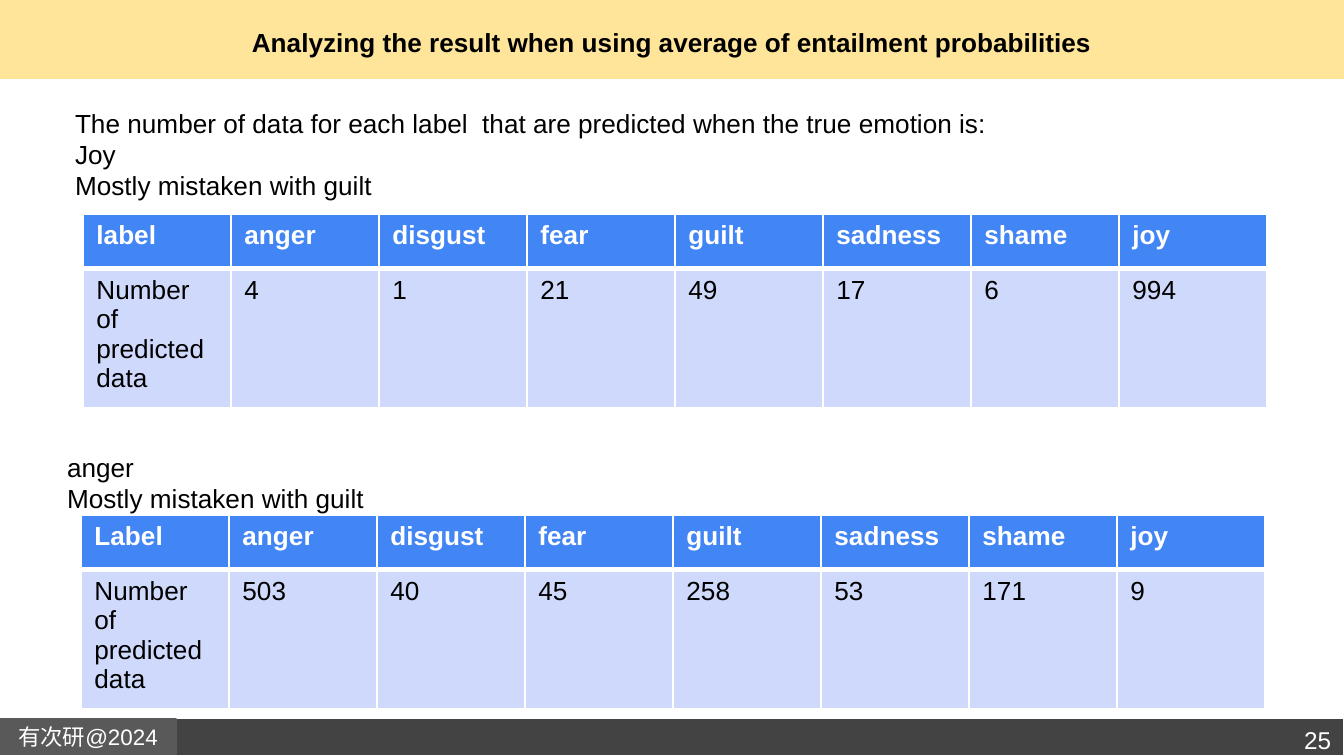
"""Build the slide on predicted labels for joy and anger with averaged entailment probabilities."""
from dataclasses import dataclass

import pptx
import pptx.dml.color
import pptx.enum.shapes
import pptx.enum.text
import pptx.oxml
import pptx.oxml.ns
import pptx.util

ALIGN = pptx.enum.text.PP_ALIGN
ANCHOR = pptx.enum.text.MSO_ANCHOR


@dataclass(frozen=True)
class Theme:
    font: str = "Arial"
    body: int = 14
    footer: int = 12
    number: int = 13
    black: str = "000000"
    white: str = "FFFFFF"
    banner: str = "FFE599"
    bar: str = "434343"
    tag: str = "595959"
    header: str = "4285F4"
    cell: str = "CFD9FB"


THEME = Theme()
SLIDE = (1344, 756)
TITLE = "Analyzing the result when using average of entailment probabilities"
FOOTER = "有次研@2024"
PAGE_NUMBER = "25"
EMOTIONS = ["anger", "disgust", "fear", "guilt", "sadness", "shame", "joy"]
ROW_NAME = "Number of predicted data"
COLUMN_WIDTH = 148
ROW_HEIGHTS = [55, 138]
SECTIONS = [
    {
        "lines": [
            "The number of data for each label  that are predicted when the true emotion is:",
            "Joy",
            "Mostly mistaken with guilt",
        ],
        "text_area": (62, 100, 1236, 203),
        "corner": "label",
        "counts": [4, 1, 21, 49, 17, 6, 994],
        "table_at": (83, 214),
    },
    {
        "lines": ["anger", "Mostly mistaken with guilt"],
        "text_area": (54, 444, 410, 77),
        "corner": "Label",
        "counts": [503, 40, 45, 258, 53, 171, 9],
        "table_at": (81, 515),
    },
]


def px(length):
    return pptx.util.Emu(round(length * 914400 / 134.4))


def color(value):
    return pptx.dml.color.RGBColor.from_string(value)


def write(frame, lines, size, ink, bold=False, align=ALIGN.LEFT):
    for index, line in enumerate(lines):
        para = frame.add_paragraph() if index else frame.paragraphs[0]
        para.alignment = align
        span = para.add_run()
        span.text = line
        span.font.name = THEME.font
        span.font.size = pptx.util.Pt(size)
        span.font.bold = bold
        span.font.color.rgb = color(ink)


def set_frame(frame, inset, anchor):
    frame.word_wrap = True
    frame.vertical_anchor = anchor
    frame.margin_left = frame.margin_right = px(13)
    frame.margin_top = frame.margin_bottom = px(inset)


def add_text(page, area, lines, size, ink, inset=13, anchor=ANCHOR.TOP, **style):
    box = page.shapes.add_textbox(*map(px, area))
    set_frame(box.text_frame, inset, anchor)
    write(box.text_frame, lines, size, ink, **style)


def add_band(page, area, fill, line=None):
    kind = pptx.enum.shapes.MSO_SHAPE.RECTANGLE
    band = page.shapes.add_shape(kind, *map(px, area))
    band.shadow.inherit = False
    band.fill.solid()
    band.fill.fore_color.rgb = color(fill)
    if line:
        band.line.color.rgb = color(line)
        band.line.width = pptx.util.Pt(0.75)
    else:
        band.line.fill.background()
    return band


def add_borders(cell, bottom):
    properties = cell._tc.get_or_add_tcPr()
    for side, width in (("L", 1), ("R", 1), ("T", 1), ("B", bottom)):
        properties.append(pptx.oxml.parse_xml(
            f'<a:ln{side} {pptx.oxml.ns.nsdecls("a")} w="{pptx.util.Pt(width)}">'
            f'<a:solidFill><a:srgbClr val="{THEME.white}"/></a:solidFill></a:ln{side}>'
        ))


def add_counts(page, section):
    rows = [[section["corner"], *EMOTIONS], [ROW_NAME, *map(str, section["counts"])]]
    styles = [(THEME.header, THEME.white, True, 3), (THEME.cell, THEME.black, False, 1)]
    columns = len(rows[0])
    area = (*section["table_at"], COLUMN_WIDTH * columns, sum(ROW_HEIGHTS))
    table = page.shapes.add_table(len(rows), columns, *map(px, area)).table
    for column in table.columns:
        column.width = px(COLUMN_WIDTH)
    for row, height, values, style in zip(table.rows, ROW_HEIGHTS, rows, styles):
        fill, ink, bold, bottom = style
        row.height = px(height)
        for cell, value in zip(row.cells, values):
            add_borders(cell, bottom)
            cell.fill.solid()
            cell.fill.fore_color.rgb = color(fill)
            write(cell.text_frame, [value], THEME.body, ink, bold)


def main():
    deck = pptx.Presentation()
    deck.slide_width, deck.slide_height = map(px, SLIDE)
    page = deck.slides.add_slide(deck.slide_layouts[6])
    add_band(page, (0, 0, 1344, 79), THEME.banner)
    add_band(page, (0, 718, 1344, 38), THEME.bar, THEME.white)
    tag = add_band(page, (0, 719, 176, 35), THEME.tag, THEME.tag)
    set_frame(tag.text_frame, 13, ANCHOR.MIDDLE)
    write(tag.text_frame, [FOOTER], THEME.footer, THEME.white, align=ALIGN.CENTER)
    add_text(page, (46, 0, 1252, 85), [TITLE], THEME.body, THEME.black,
             anchor=ANCHOR.MIDDLE, bold=True, align=ALIGN.CENTER)
    add_text(page, (1203, 712, 141, 50), [PAGE_NUMBER], THEME.number, THEME.white,
             align=ALIGN.RIGHT)
    for section in SECTIONS:
        add_text(page, section["text_area"], section["lines"], THEME.body, THEME.black, inset=7)
        add_counts(page, section)
    deck.save("out.pptx")


if __name__ == "__main__":
    main()
